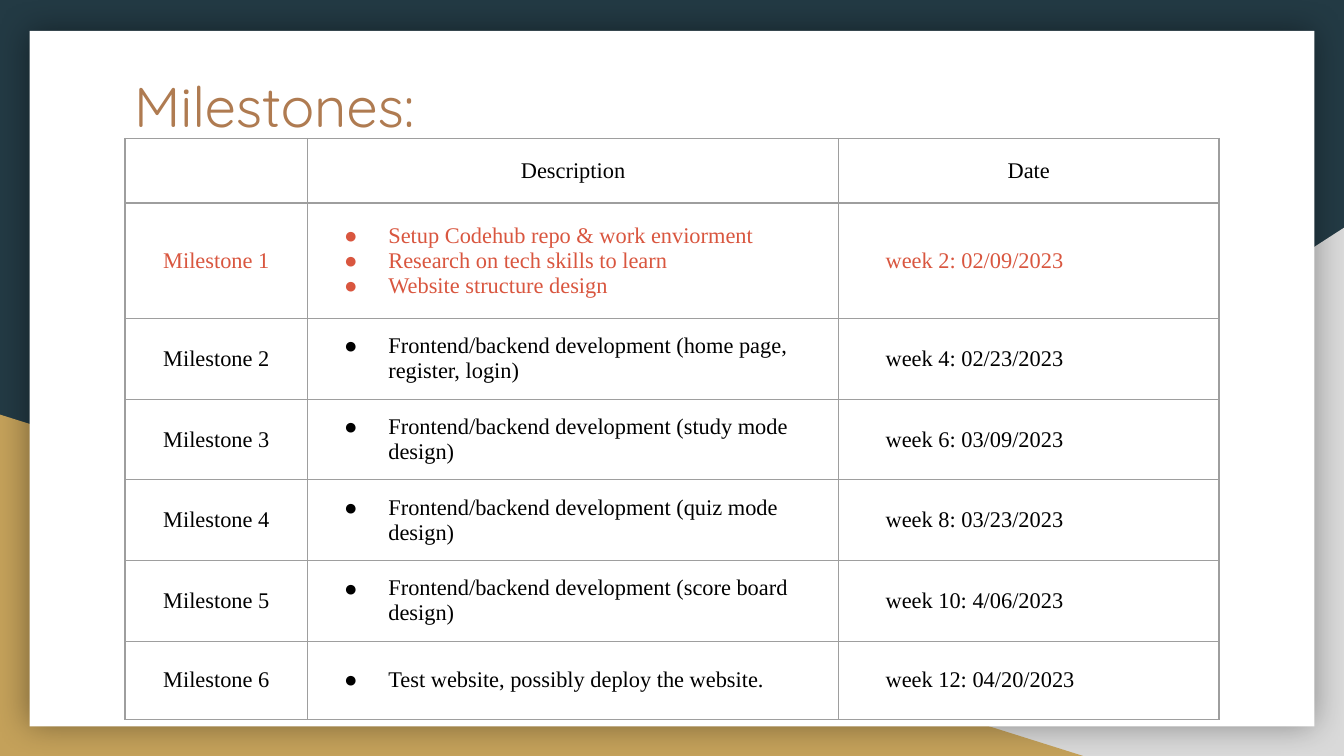
import pptx
import pptx.util
import pptx.dml.color
import pptx.enum.shapes
import pptx.enum.text
import pptx.oxml
import pptx.oxml.ns

Inches = pptx.util.Inches
SHAPES = pptx.enum.shapes.MSO_SHAPE
ALIGN = pptx.enum.text.PP_ALIGN
WIDTH = 10
HEIGHT = WIDTH * 9 / 16
COLORS = {
    "navy": "233A44", "grey": "D9D9D9", "gold": "C4A15A", "white": "FFFFFF",
    "brown": "AF7B51", "red": "D9563F", "black": "000000", "border": "9E9E9E",
}
COLUMNS = [1.36, 3.95, 2.83]
ROWS = [0.48, 0.86] + [0.58] * 5
MILESTONES = [
    (["Setup Codehub repo & work enviorment", "Research on tech skills to learn",
      "Website structure design"], "week 2: 02/09/2023"),
    (["Frontend/backend development (home page, register, login)"], "week 4: 02/23/2023"),
    (["Frontend/backend development (study mode design)"], "week 6: 03/09/2023"),
    (["Frontend/backend development (quiz mode design)"], "week 8: 03/23/2023"),
    (["Frontend/backend development (score board design)"], "week 10: 4/06/2023"),
    (["Test website, possibly deploy the website."], "week 12: 04/20/2023"),
]


def rgb(color):
    return pptx.dml.color.RGBColor.from_string(COLORS[color])


def apply(target, values):
    for name, value in values.items():
        setattr(target, name, value)


def add_xml(parent, markup):
    namespace = pptx.oxml.ns.nsdecls("a")
    parent.append(pptx.oxml.parse_xml(markup.replace(" ", f" {namespace} ", 1)))


def write(para, text, font, size, color):
    span = para.add_run()
    span.text = text
    apply(span.font, {"name": font, "size": pptx.util.Pt(size)})
    span.font.color.rgb = rgb(color)
    add_xml(para._p, f'<a:endParaRPr sz="{size * 100}"><a:latin typeface="{font}"/></a:endParaRPr>')


def add_plain(page, kind, box, color):
    shape = page.shapes.add_shape(kind, *map(Inches, box))
    shape.shadow.inherit = False
    shape.fill.solid()
    shape.fill.fore_color.rgb = rgb(color)
    shape.line.fill.background()
    return shape


def add_backdrop(page, box):
    left, top, width, height = box
    page.background.fill.solid()
    page.background.fill.fore_color.rgb = rgb("navy")
    right_corner = (left + width - 6.08, top + height - 3.93, 6.08, 3.93)
    left_corner = (left, top + height - 2.54, 8.06, 2.54)
    grey = add_plain(page, SHAPES.RIGHT_TRIANGLE, right_corner, "grey")
    grey.element.spPr.xfrm.set("flipH", "1")
    add_plain(page, SHAPES.RIGHT_TRIANGLE, left_corner, "gold")
    sheet = (left + 0.22, top + 0.23, width - 0.44, height - 0.45)
    paper = add_plain(page, SHAPES.RECTANGLE, sheet, "white")
    effects = paper.element.spPr.find(pptx.oxml.ns.qn("a:effectLst"))
    add_xml(effects, f'<a:outerShdw blurRad="{pptx.util.Pt(18)}" dist="0" algn="ctr" rotWithShape="0">'
                     f'<a:srgbClr val="{COLORS["black"]}"><a:alpha val="40000"/></a:srgbClr></a:outerShdw>')


def add_title(page, box, text):
    frame = page.shapes.add_textbox(*map(Inches, box)).text_frame
    inset = Inches(0.1)
    apply(frame, {"word_wrap": True, "margin_left": inset, "margin_right": inset,
                  "margin_top": inset, "margin_bottom": inset})
    write(frame.paragraphs[0], text, "Quicksand", 30, "brown")


def fill_cell(cell, lines, color, align=ALIGN.LEFT, hanging=0, bullet=False):
    properties = cell._tc.get_or_add_tcPr()
    for side in "LRTB":
        add_xml(properties, f'<a:ln{side} w="{pptx.util.Pt(0.75)}"><a:solidFill>'
                            f'<a:srgbClr val="{COLORS["border"]}"/></a:solidFill></a:ln{side}>')
    cell.fill.background()
    if not lines:
        return
    inset = Inches(0.1)
    apply(cell, {"vertical_anchor": pptx.enum.text.MSO_ANCHOR.MIDDLE,
                 "margin_left": inset, "margin_right": inset,
                 "margin_top": inset, "margin_bottom": inset})
    for index, line in enumerate(lines):
        frame = cell.text_frame
        para = frame.add_paragraph() if index else frame.paragraphs[0]
        para.alignment = align
        layout = para._p.get_or_add_pPr()
        if hanging:
            layout.set("marL", str(Inches(0.5)))
            layout.set("indent", str(-Inches(hanging)))
        if bullet:
            add_xml(layout, f'<a:buClr ><a:srgbClr val="{COLORS[color]}"/></a:buClr>')
            add_xml(layout, '<a:buSzPts val="1200"/>')
            add_xml(layout, '<a:buFont typeface="Times New Roman"/>')
            add_xml(layout, '<a:buChar char="●"/>')
        write(para, line, "Times New Roman", 12, color)


def add_milestones(page, box):
    frame = page.shapes.add_table(len(ROWS), len(COLUMNS), *map(Inches, box))
    table = frame.table
    apply(table, {"first_row": False, "horz_banding": False})
    for column, width in zip(table.columns, COLUMNS):
        column.width = Inches(width)
    for row, height in zip(table.rows, ROWS):
        row.height = Inches(height)
    for index, heading in enumerate(["", "Description", "Date"]):
        fill_cell(table.cell(0, index), [heading] if heading else [], "black", ALIGN.CENTER)
    for number, (tasks, date) in enumerate(MILESTONES, 1):
        color = "red" if number == 1 else "black"
        fill_cell(table.cell(number, 0), [f"Milestone {number}"], color, ALIGN.CENTER)
        fill_cell(table.cell(number, 1), tasks, color, hanging=0.33, bullet=True)
        fill_cell(table.cell(number, 2), [date], color, hanging=0.25)


def main():
    deck = pptx.Presentation()
    apply(deck, {"slide_width": Inches(WIDTH), "slide_height": Inches(HEIGHT)})
    page = deck.slides.add_slide(deck.slide_layouts[6])
    add_backdrop(page, (0, 0, WIDTH, HEIGHT))
    add_title(page, (0.9, 0.43, 8.21, 1.04), "Milestones:")
    add_milestones(page, (0.93, 1.03, sum(COLUMNS), sum(ROWS)))
    deck.save("out.pptx")


if __name__ == "__main__":
    main()
